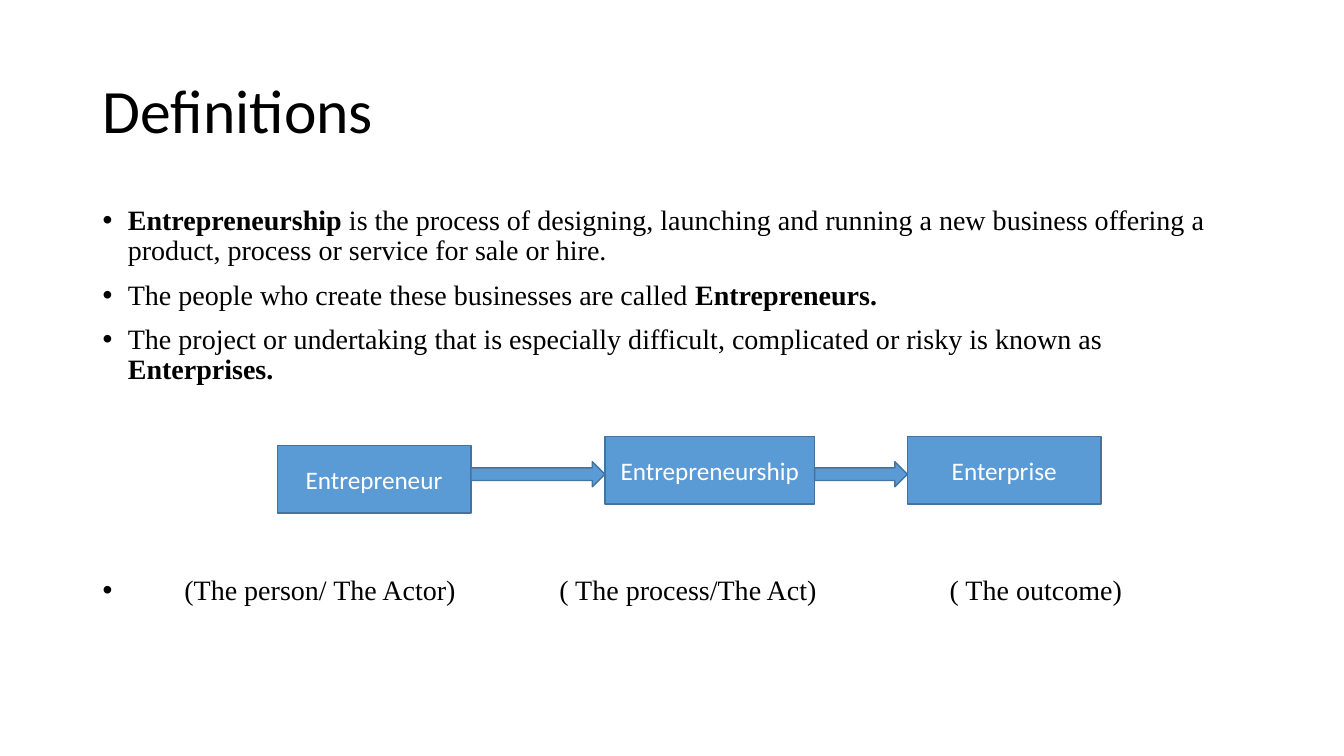
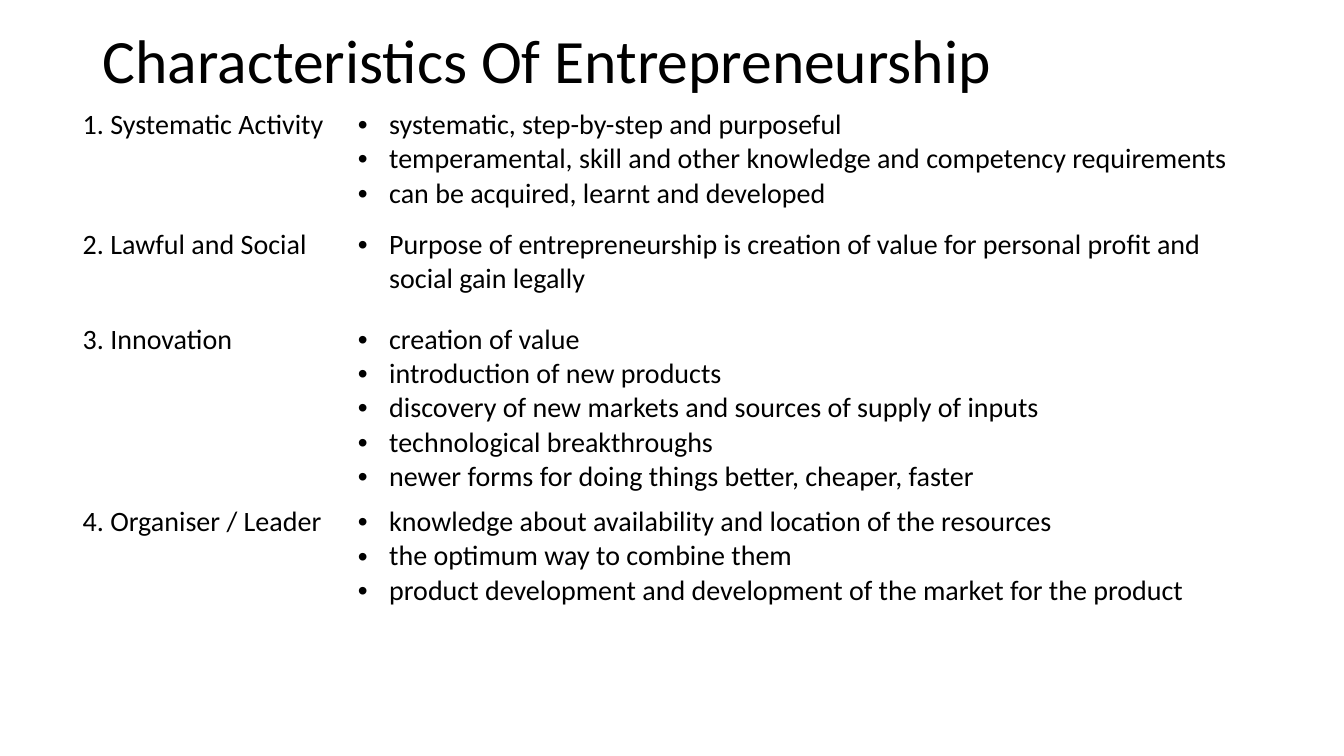
from pptx import Presentation
from pptx.dml.color import RGBColor
from pptx.enum.shapes import MSO_SHAPE as Preset
from pptx.enum.text import MSO_ANCHOR as Anchor, PP_ALIGN as Align
from pptx.oxml.ns import qn
from pptx.util import Inches, Pt
from lxml import etree

# Shared style
BLACK, WHITE, BLUE, DARK_BLUE = "000000", "FFFFFF", "5B9BD5", "43739E"
SANS, SERIF = "Calibri", "Times New Roman"
TITLE = dict(name=SANS, size=Pt(44), color=BLACK)
BODY = dict(name=SERIF, size=Pt(20), color=BLACK)
CELL = dict(name=SANS, size=Pt(20), color=BLACK)
LABEL = dict(name=SANS, size=Pt(18), color=WHITE)
BODY_SPACING = dict(line_spacing=0.9, space_before=Pt(10))
LEFT, WIDTH = 0.92, 11.5

# Slide 1: each definition is a list of (text, bold) pieces
DEFINITIONS = [
    [("Entrepreneurship", True),
     (" is the process of designing, launching and running a new business "
      "offering a product, process or service for sale or hire.", False)],
    [("The people who create these businesses are called ", False),
     ("Entrepreneurs.", True)],
    [("The project or undertaking that is especially difficult, complicated "
      "or risky is known as ", False), ("Enterprises.", True)],
]
STAGES = [  # label, left, top, width
    ("Entrepreneur", 2.75, 4.42, 1.92),
    ("Entrepreneurship", 6, 4.33, 2.08),
    ("Enterprise", 9, 4.33, 1.92),
]
STAGE_HEIGHT, ARROW_TOP, ARROW_HEIGHT = 0.67, 4.58, 0.25
CAPTIONS = [  # text, left, width, hanging bullet indent
    ("(The person/ The Actor)", LEFT, 4, 0.81),
    ("( The process/The Act)", 5.45, 3.2, 0),
    ("( The outcome)", 9.32, 3, 0),
]
CAPTION_TOP, CAPTION_HEIGHT = 5.67, 0.4

# Slide 2: name, points, row height
CHARACTERISTICS = [
    ("1. Systematic Activity", [
        "systematic, step-by-step and purposeful",
        "temperamental, skill and other knowledge and competency requirements",
        "can be acquired, learnt and developed"], 1.19),
    ("2. Lawful and Social", [
        "Purpose of entrepreneurship is creation of value for personal profit "
        "and social gain legally"], 0.94),
    ("3. Innovation", [
        "creation of value",
        "introduction of new products",
        "discovery of new markets and sources of supply of inputs",
        "technological breakthroughs",
        "newer forms for doing things better, cheaper, faster"], 1.81),
    ("4. Organiser / Leader", [
        "knowledge about availability and location of the resources",
        "the optimum way to combine them",
        "product development and development of the market for the product"], 1.13),
    ("", [], 0.92),
]
COLUMNS = [2.73, 9.16]


def rgb(value):
    return RGBColor.from_string(value)


def add_bullet(para, indent):
    props = para._p.get_or_add_pPr()
    props.set("marL", str(Inches(indent)))
    props.set("indent", str(-Inches(indent)))
    etree.SubElement(props, qn("a:buFont")).set("typeface", "Arial")
    etree.SubElement(props, qn("a:buChar")).set("char", "•")


def write(frame, paragraphs, style, indent=0, **layout):
    """Fill a frame with paragraphs, each a list of (text, bold) pieces."""
    frame.word_wrap = True
    for index, pieces in enumerate(paragraphs):
        para = frame.add_paragraph() if index else frame.paragraphs[0]
        for key, value in layout.items():
            setattr(para, key, value)
        if indent:
            add_bullet(para, indent)
        for text, bold in pieces:
            span = para.add_run()
            span.text = text
            span.font.bold = bold
            for key, value in style.items():
                if key == "color":
                    span.font.color.rgb = rgb(value)
                else:
                    setattr(span.font, key, value)


def add_text(page, place, paragraphs, style, indent=0, anchor=Anchor.TOP, **layout):
    box = page.shapes.add_textbox(*map(Inches, place))
    box.text_frame.vertical_anchor = anchor
    write(box.text_frame, paragraphs, style, indent, **layout)


def add_page(deck, title, top, height):
    page = deck.slides.add_slide(deck.slide_layouts[6])
    add_text(page, (LEFT, top, WIDTH, height), [[(title, False)]], TITLE,
             anchor=Anchor.MIDDLE, line_spacing=0.9)
    return page


def add_block(page, preset, *place):
    block = page.shapes.add_shape(preset, *map(Inches, place))
    block.shadow.inherit = False
    block.fill.solid()
    block.fill.fore_color.rgb = rgb(BLUE)
    block.line.color.rgb = rgb(DARK_BLUE)
    block.line.width = Pt(1)
    return block


def build_definitions(deck):
    page = add_page(deck, "Definitions", 0.4, 1.45)
    add_text(page, (LEFT, 2, WIDTH, 2.1), DEFINITIONS, BODY, 0.25, **BODY_SPACING)
    for text, left, width, indent in CAPTIONS:
        add_text(page, (left, CAPTION_TOP, width, CAPTION_HEIGHT),
                 [[(text, False)]], BODY, indent, **BODY_SPACING)

    # Stages, then an arrow across each gap
    for label, left, top, width in STAGES:
        stage = add_block(page, Preset.RECTANGLE, left, top, width, STAGE_HEIGHT)
        stage.text_frame.vertical_anchor = Anchor.MIDDLE
        write(stage.text_frame, [[(label, False)]], LABEL, alignment=Align.CENTER)
    for (_, left, _, width), (_, end, _, _) in zip(STAGES, STAGES[1:]):
        start = left + width
        add_block(page, Preset.RIGHT_ARROW, start, ARROW_TOP, end - start, ARROW_HEIGHT)


def build_characteristics(deck):
    page = add_page(deck, "Characteristics Of Entrepreneurship", 0.25, 0.77)
    height = sum(row[2] for row in CHARACTERISTICS)
    place = (0.72, 1.02, sum(COLUMNS), height)
    table = page.shapes.add_table(len(CHARACTERISTICS), len(COLUMNS),
                                  *map(Inches, place)).table
    table.first_row = table.horz_banding = False
    for column, width in zip(table.columns, COLUMNS):
        column.width = Inches(width)
    for row, (name, points, height) in zip(table.rows, CHARACTERISTICS):
        row.height = Inches(height)
        for cell in row.cells:
            cell.fill.background()
        if name:
            write(row.cells[0].text_frame, [[(name, False)]], CELL)
            write(row.cells[1].text_frame, [[(point, False)] for point in points],
                  CELL, 0.31)


def main():
    deck = Presentation()
    deck.slide_width, deck.slide_height = Inches(13.33), Inches(7.5)
    build_definitions(deck)
    build_characteristics(deck)
    deck.save("out.pptx")


if __name__ == "__main__":
    main()
